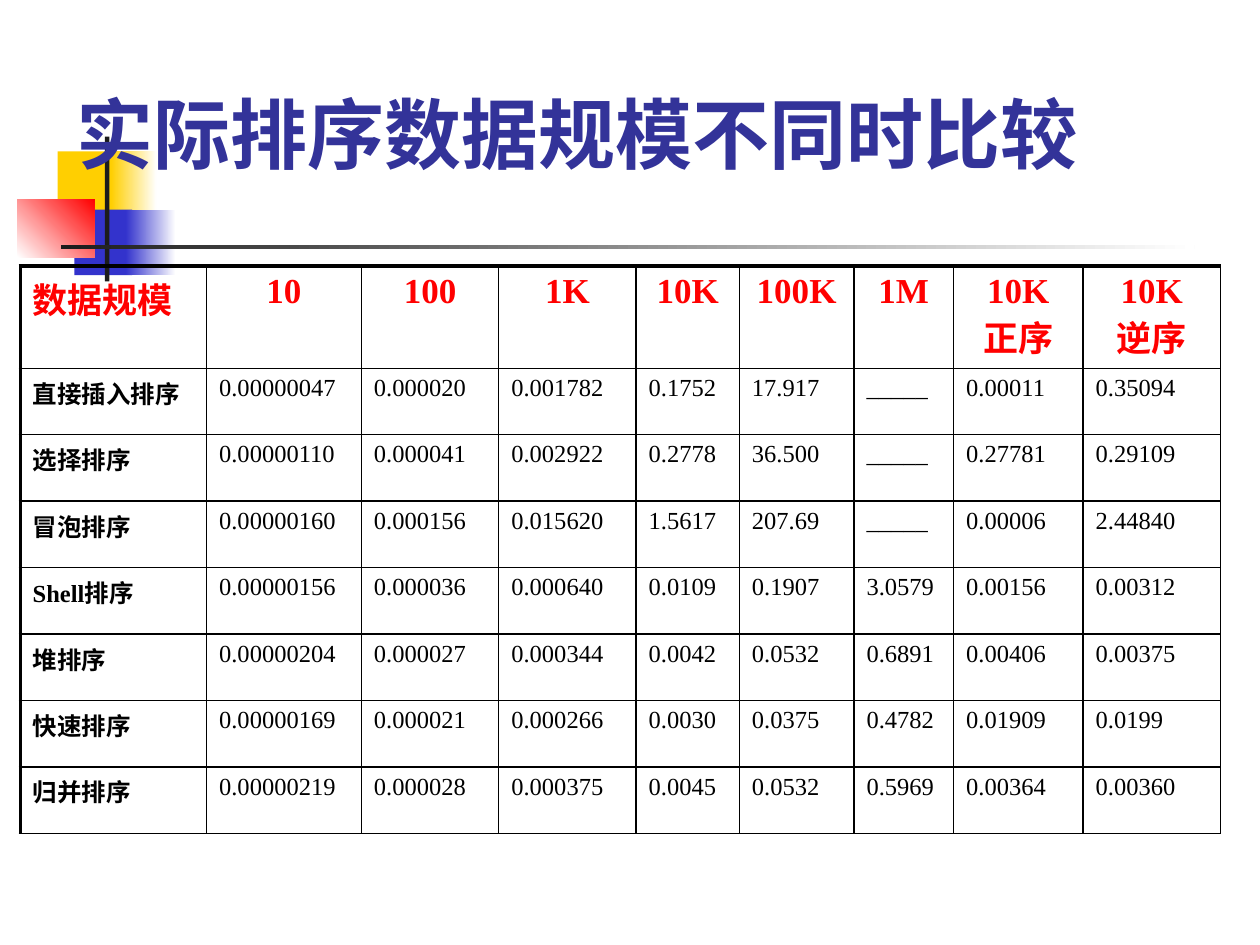
from lxml import etree
from pptx import Presentation
from pptx import util as u
from pptx.dml.color import RGBColor
from pptx.enum import shapes, text
from pptx.oxml.ns import qn

COLORS = {
    "yellow": "FFCF01", "blue": "3333CC", "red": "FF0000", "white": "FFFFFF",
    "dark": "1C1C1C", "title": "333399", "black": "000000",
}
COLUMN_WIDTHS = [106.5, 88.5, 78.5, 78.5, 59, 65.5, 57, 74, 78.5]
HEADER_HEIGHT, ROW_HEIGHT = 55.5, 38
ROWS = [
    ["数据规模", "10", "100", "1K", "10K", "100K", "1M", "10K\n正序", "10K\n逆序"],
    ["直接插入排序", "0.00000047", "0.000020", "0.001782", "0.1752", "17.917",
     "_____", "0.00011", "0.35094"],
    ["选择排序", "0.00000110", "0.000041", "0.002922", "0.2778", "36.500",
     "_____", "0.27781", "0.29109"],
    ["冒泡排序", "0.00000160", "0.000156", "0.015620", "1.5617", "207.69",
     "_____", "0.00006", "2.44840"],
    ["Shell排序", "0.00000156", "0.000036", "0.000640", "0.0109", "0.1907",
     "3.0579", "0.00156", "0.00312"],
    ["堆排序", "0.00000204", "0.000027", "0.000344", "0.0042", "0.0532",
     "0.6891", "0.00406", "0.00375"],
    ["快速排序", "0.00000169", "0.000021", "0.000266", "0.0030", "0.0375",
     "0.4782", "0.01909", "0.0199"],
    ["归并排序", "0.00000219", "0.000028", "0.000375", "0.0045", "0.0532",
     "0.5969", "0.00364", "0.00360"],
]


def rgb(name):
    return RGBColor.from_string(COLORS[name])


class SlideBuilder:
    font = "Times New Roman"

    def __init__(self, slide):
        self.slide = slide

    def set_text(self, frame, content, size, color, bold, align):
        frame.text = content
        for paragraph in frame.paragraphs:
            paragraph.alignment = align
            for run in paragraph.runs:
                run.font.name = self.font
                run.font.size = u.Pt(size)
                run.font.bold = bold
                run.font.color.rgb = rgb(color)

    def block(self, box, start, end=None, angle=0):
        """Add a rectangle, plain or with a gradient from start to end."""
        shape = self.slide.shapes.add_shape(
            shapes.MSO_SHAPE.RECTANGLE, *map(u.Pt, box))
        shape.shadow.inherit = False
        shape.line.fill.background()
        if end is None:
            shape.fill.solid()
            shape.fill.fore_color.rgb = rgb(start)
        else:
            shape.fill.gradient()
            shape.fill.gradient_angle = angle
            for stop, color in zip(shape.fill.gradient_stops, (start, end)):
                stop.color.rgb = rgb(color)

    def title(self, box, content):
        title = self.slide.shapes.title
        title.left, title.top, title.width, title.height = map(u.Pt, box)
        frame = title.text_frame
        frame.word_wrap = True
        frame.auto_size = text.MSO_AUTO_SIZE.NONE
        frame.vertical_anchor = text.MSO_ANCHOR.BOTTOM
        self.set_text(frame, content, 44, "title", True, text.PP_ALIGN.LEFT)
        # Bring the title in front of the decoration
        title.element.getparent().append(title.element)

    def border(self, cell, **widths):
        properties = cell._tc.get_or_add_tcPr()
        for side in "LRTB":
            line = etree.SubElement(properties, qn(f"a:ln{side}"),
                                    w=str(u.Pt(widths.get(side, 1))))
            fill = etree.SubElement(line, qn("a:solidFill"))
            etree.SubElement(fill, qn("a:srgbClr"), val=COLORS["black"])

    def table(self, left, top, widths, heights, rows):
        frame = self.slide.shapes.add_table(
            len(rows), len(widths), u.Pt(left), u.Pt(top),
            u.Pt(sum(widths)), u.Pt(sum(heights)))
        table = frame.table
        table.first_row = table.horz_banding = False
        for column, width in zip(table.columns, widths):
            column.width = u.Pt(width)
        for row, height in zip(table.rows, heights):
            row.height = u.Pt(height)
        for i, values in enumerate(rows):
            for j, value in enumerate(values):
                cell = table.cell(i, j)
                header, label = i == 0, j == 0
                self.border(cell, L=2 if label else 1, T=2 if header else 1)
                cell.fill.background()
                centered = header and not label
                self.set_text(
                    cell.text_frame, value, 20 if header else 14,
                    "red" if header else "black", header or label,
                    text.PP_ALIGN.CENTER if centered else text.PP_ALIGN.LEFT)


def main():
    presentation = Presentation()
    presentation.slide_width, presentation.slide_height = u.Pt(720), u.Pt(540)
    builder = SlideBuilder(
        presentation.slides.add_slide(presentation.slide_layouts[5]))
    builder.block((33, 86.5, 34.5, 37.5), "yellow")
    builder.block((63.5, 86.5, 26, 37.5), "yellow", "white")
    builder.block((42.5, 119.75, 33, 37.5), "blue")
    builder.block((72, 119.75, 28.5, 37.5), "blue", "white")
    builder.block((10, 113.75, 44, 33.25), "white", "red", 45)
    builder.block((60, 78, 2.5, 82.75), "dark")
    builder.block((34.75, 140, 648, 2.5), "dark", "white")
    builder.title((36.75, 49, 649.5, 57), "实际排序数据规模不同时比较")
    builder.table(11.5, 152, COLUMN_WIDTHS,
                  [HEADER_HEIGHT] + [ROW_HEIGHT] * (len(ROWS) - 1), ROWS)
    presentation.save("out.pptx")


if __name__ == "__main__":
    main()
